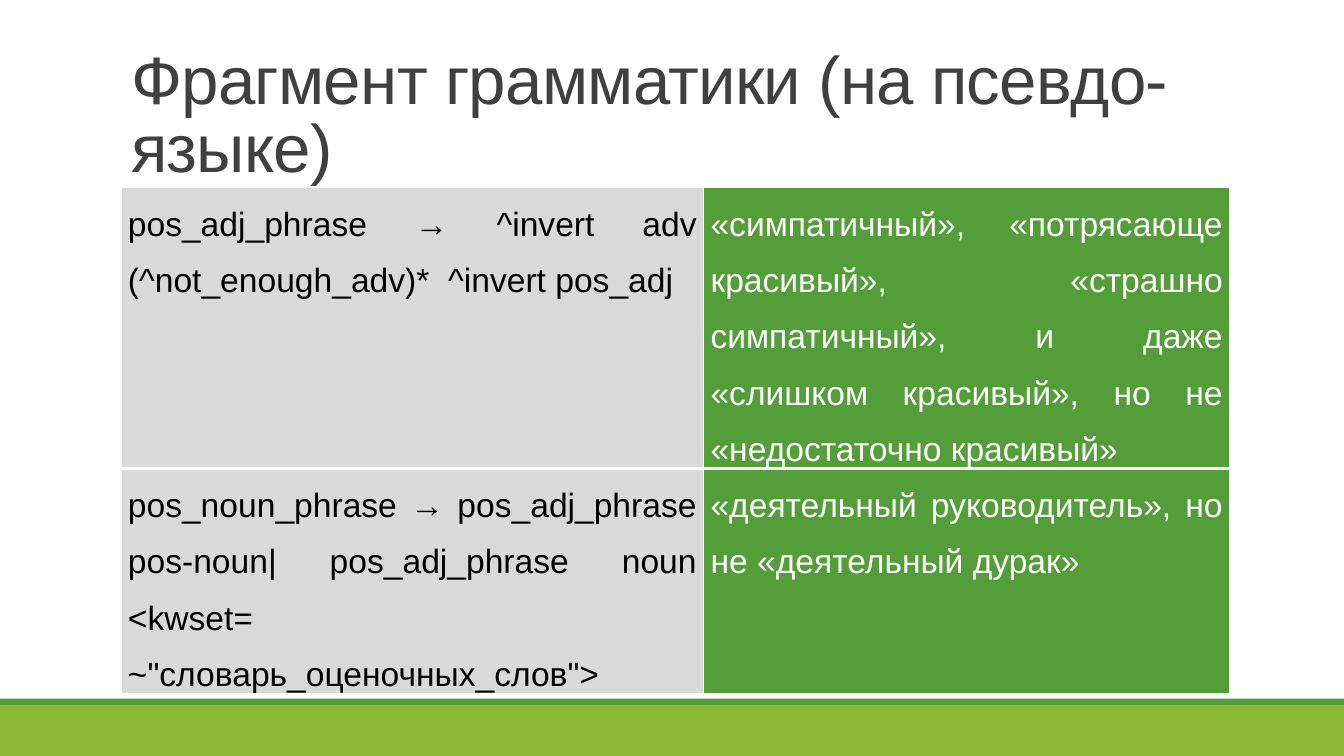
from dataclasses import dataclass

from lxml.etree import SubElement
from pptx import Presentation
from pptx.dml.color import RGBColor
from pptx.enum.shapes import MSO_SHAPE
from pptx.enum.text import MSO_ANCHOR, MSO_AUTO_SIZE, PP_ALIGN
from pptx.oxml import parse_xml
from pptx.oxml.ns import nsdecls, qn
from pptx.util import Pt


@dataclass(frozen=True)
class Theme:
    font: str = "Arial"
    title_size: float = 48
    cell_size: float = 24
    title: str = "404040"
    black: str = "000000"
    white: str = "FFFFFF"
    gray: str = "D9D9D9"
    green: str = "549E39"
    lime: str = "8AB833"


theme = Theme()


def style_font(font, size, color):
    font.name = theme.font
    font.size = Pt(size)
    font.bold = False
    font.color.rgb = RGBColor.from_string(color)


def set_borders(cell, widths):
    properties = cell._tc.get_or_add_tcPr()
    for index, (side, width) in enumerate(widths.items()):
        border = parse_xml(f'<a:ln{side} {nsdecls("a")} w="{Pt(width)}"/>')
        fill = SubElement(border, qn("a:solidFill"))
        SubElement(fill, qn("a:srgbClr"), val=theme.white)
        properties.insert(index, border)


deck = Presentation()
deck.slide_width, deck.slide_height = Pt(960), Pt(540)
page = deck.slides.add_slide(deck.slide_layouts[5])

# Footer bands
for top, height, color in ((504, 36, theme.lime), (499, 5, theme.green)):
    band = page.shapes.add_shape(MSO_SHAPE.RECTANGLE, 0, Pt(top), Pt(960), Pt(height))
    band.shadow.inherit = False
    band.fill.solid()
    band.fill.fore_color.rgb = RGBColor.from_string(color)
    band.line.fill.background()

# Title
title = page.shapes.title
title.left, title.top, title.width, title.height = Pt(86.4), Pt(22.3), Pt(792), Pt(114.5)
frame = title.text_frame
frame.text = "Фрагмент грамматики (на псевдо-языке)"
frame.word_wrap = True
frame.auto_size = MSO_AUTO_SIZE.NONE
frame.vertical_anchor = MSO_ANCHOR.BOTTOM
para = frame.paragraphs[0]
para.alignment = PP_ALIGN.LEFT
para.line_spacing = 0.85
style_font(para.font, theme.title_size, theme.title)
para.runs[0].font._element.set("spc", "-50")

# Grammar rules with examples
rules = (
    ("pos_adj_phrase → ^invert adv (^not_enough_adv)*  ^invert pos_adj",
     "«симпатичный», «потрясающе красивый», «страшно симпатичный», "
     "и даже «слишком красивый», но не «недостаточно красивый»"),
    ('pos_noun_phrase → pos_adj_phrase pos-noun| pos_adj_phrase noun '
     '<kwset= ~"словарь_оценочных_слов">',
     "«деятельный руководитель», но не «деятельный дурак»"),
)
column_styles = ((416.2, theme.gray, theme.black), (375.8, theme.green, theme.white))
row_styles = (
    (193, {"L": 1, "R": 1, "T": 1, "B": 3}),
    (129, {"L": 1, "R": 1, "T": 3, "B": 1}),
)
table = page.shapes.add_table(2, 2, Pt(86.4), Pt(133.9), Pt(792), Pt(322)).table
table.first_row = table.horz_banding = False
for column, (width, _, _) in zip(table.columns, column_styles):
    column.width = Pt(width)

for row, texts, (height, borders) in zip(table.rows, rules, row_styles):
    row.height = Pt(height)
    for cell, text, (_, background, color) in zip(row.cells, texts, column_styles):
        cell.text = text
        cell.margin_left = cell.margin_right = Pt(5)
        cell.margin_top = cell.margin_bottom = 0
        cell.fill.solid()
        cell.fill.fore_color.rgb = RGBColor.from_string(background)
        set_borders(cell, borders)
        para = cell.text_frame.paragraphs[0]
        para.alignment = PP_ALIGN.JUSTIFY
        para.line_spacing = 1.5
        para.space_after = Pt(10)
        style_font(para.font, theme.cell_size, color)

deck.save("out.pptx")
